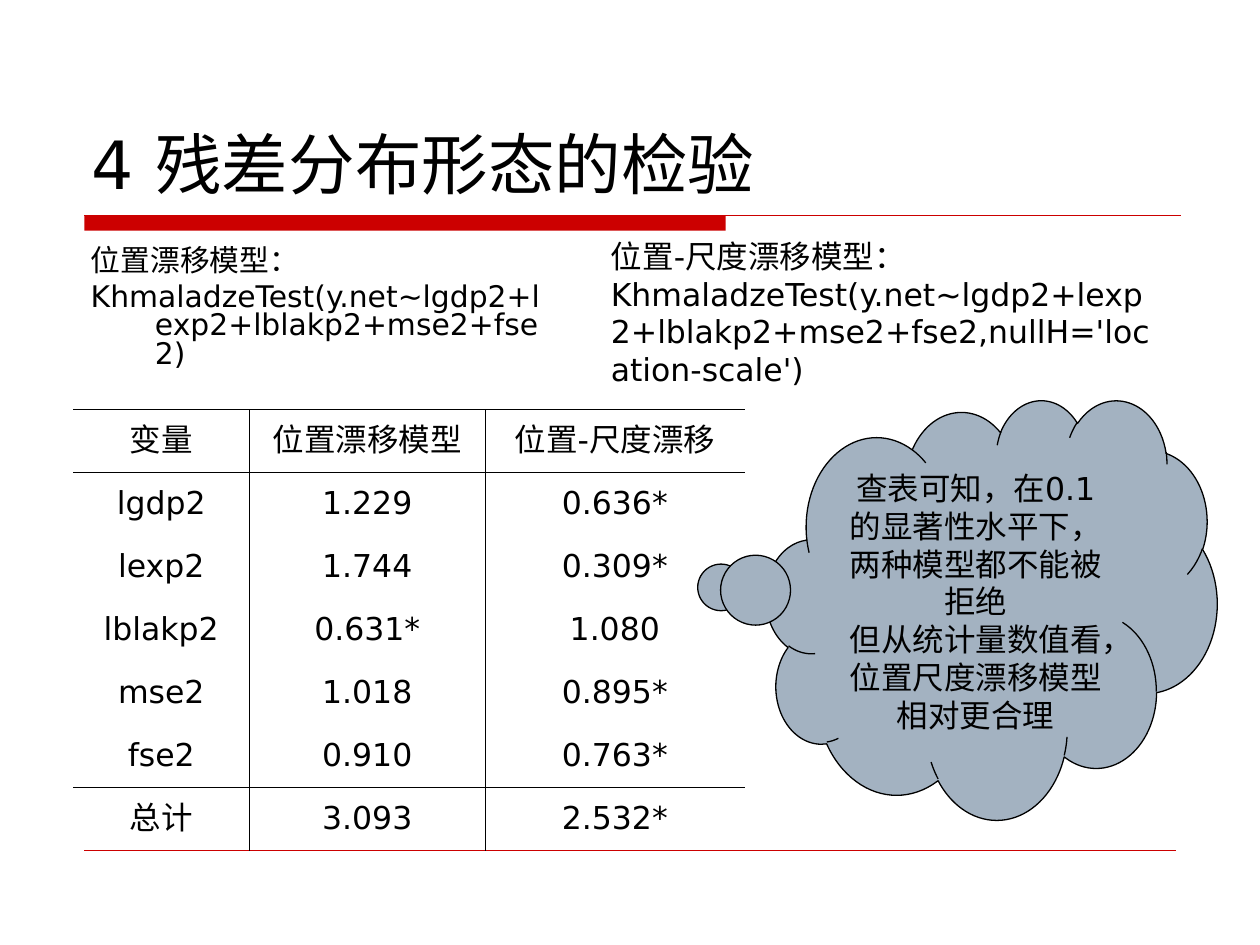
import pptx
import pptx.dml.color
import pptx.enum.shapes
import pptx.enum.text
import pptx.oxml.ns
import pptx.util
from lxml import etree

Inches = pptx.util.Inches
Pt = pptx.util.Pt
qn = pptx.oxml.ns.qn
RGBColor = pptx.dml.color.RGBColor
SHAPES = pptx.enum.shapes.MSO_SHAPE
ALIGN = pptx.enum.text.PP_ALIGN
ANCHOR = pptx.enum.text.MSO_ANCHOR

BLACK = RGBColor(0x00, 0x00, 0x00)
RED = RGBColor(0xCC, 0x00, 0x00)
CLOUD_BLUE = RGBColor(0xA3, 0xB2, 0xC1)
FONT = "DejaVu Sans"

TITLE = "4 残差分布形态的检验"
LOCATION_TEST = ["位置漂移模型：", "KhmaladzeTest(y.net~lgdp2+lexp2+lblakp2+mse2+fse2)"]
SCALE_TEST = [
    "位置-尺度漂移模型：KhmaladzeTest(y.net~lgdp2+lexp2+lblakp2+mse2+fse2,nullH='location-scale')"
]
CONCLUSION = [
    "查表可知，在0.1的显著性水平下，两种模型都不能被拒绝",
    "但从统计量数值看，位置尺度漂移模型相对更合理",
]
RESULTS = [
    ("变量", "位置漂移模型", "位置-尺度漂移"),
    ("lgdp2", "1.229", "0.636*"),
    ("lexp2", "1.744", "0.309*"),
    ("lblakp2", "0.631*", "1.080"),
    ("mse2", "1.018", "0.895*"),
    ("fse2", "0.910", "0.763*"),
    ("总计", "3.093", "2.532*"),
]
COLUMN_WIDTHS = (1.4, 1.87, 2.06)
ROW_HEIGHT = 0.5
RULED_EDGES = (0, 1, len(RESULTS) - 1)


def place(shape, left, top, width, height):
    shape.left, shape.top = Inches(left), Inches(top)
    shape.width, shape.height = Inches(width), Inches(height)


def write(frame, lines, size, align=ALIGN.LEFT):
    for index, line in enumerate(lines):
        para = frame.paragraphs[0] if index == 0 else frame.add_paragraph()
        para.alignment = align
        span = para.add_run()
        span.text = line
        span.font.size = Pt(size)
        span.font.name = FONT
        span.font.color.rgb = BLACK
        etree.SubElement(span.font._element, qn("a:ea")).set("typeface", FONT)


def setup_frame(shape, anchor):
    frame = shape.text_frame
    frame.word_wrap = True
    frame.auto_size = pptx.enum.text.MSO_AUTO_SIZE.NONE
    frame.vertical_anchor = anchor
    return frame


def add_rule(page, left, right, top, weight):
    rule = page.shapes.add_connector(
        pptx.enum.shapes.MSO_CONNECTOR.STRAIGHT,
        Inches(left), Inches(top), Inches(right), Inches(top))
    rule.line.color.rgb = RED
    rule.line.width = Pt(weight)
    etree.SubElement(rule._element.spPr, qn("a:effectLst"))


def set_borders(cell, visible):
    properties = cell._tc.get_or_add_tcPr()
    for index, side in enumerate(("L", "R", "T", "B")):
        line = etree.Element(qn("a:ln" + side), w=str(Pt(0.45)))
        if visible[side]:
            fill = etree.SubElement(line, qn("a:solidFill"))
            etree.SubElement(fill, qn("a:srgbClr")).set("val", str(BLACK))
        else:
            etree.SubElement(line, qn("a:noFill"))
        properties.insert(index, line)


def add_results(page):
    table = page.shapes.add_table(
        len(RESULTS), len(COLUMN_WIDTHS), Inches(0.58), Inches(3.25),
        Inches(sum(COLUMN_WIDTHS)), Inches(ROW_HEIGHT * len(RESULTS))).table
    table.first_row = table.horz_banding = False
    for column, width in zip(table.columns, COLUMN_WIDTHS):
        column.width = Inches(width)
    for row_index, values in enumerate(RESULTS):
        table.rows[row_index].height = Inches(ROW_HEIGHT)
        for column_index, value in enumerate(values):
            cell = table.cell(row_index, column_index)
            cell.vertical_anchor = ANCHOR.MIDDLE
            cell.fill.background()
            write(cell.text_frame, [value], 18, ALIGN.CENTER)
            set_borders(cell, {
                "L": column_index > 0,
                "R": column_index < len(values) - 1,
                "T": row_index in RULED_EDGES,
                "B": row_index + 1 in RULED_EDGES,
            })


def main():
    deck = pptx.Presentation()
    deck.slide_width, deck.slide_height = Inches(10), Inches(7.5)
    page = deck.slides.add_slide(deck.slide_layouts[1])

    bar = page.shapes.add_shape(
        SHAPES.RECTANGLE, Inches(0.67), Inches(1.71), Inches(5.09), Inches(0.12))
    bar.shadow.inherit = False
    bar.fill.solid()
    bar.fill.fore_color.rgb = RED
    bar.line.fill.background()
    add_rule(page, 0.67, 9.37, 1.71, 0.75)
    add_rule(page, 0.67, 9.33, 6.75, 0.25)

    title = page.shapes.title
    place(title, 0.63, 0.33, 8.75, 1.33)
    write(setup_frame(title, ANCHOR.BOTTOM), [TITLE], 38)

    body = page.placeholders[1]
    place(body, 0.62, 1.92, 3.88, 1.42)
    frame = setup_frame(body, ANCHOR.TOP)
    write(frame, LOCATION_TEST, 17)
    for index, para in enumerate(frame.paragraphs):
        properties = para._p.get_or_add_pPr()
        properties.set("marL", str(Inches(0.51)))
        properties.set("indent", str(Inches(-0.51)))
        etree.SubElement(properties, qn("a:buNone"))
        para.line_spacing = 0.8
        para.space_before = Pt(4.2 if index else 0)

    box = page.shapes.add_textbox(Inches(4.75), Inches(1.83), Inches(4.5), Inches(1.6))
    write(setup_frame(box, ANCHOR.TOP), SCALE_TEST, 18)

    add_results(page)

    cloud = page.shapes.add_shape(
        SHAPES.CLOUD_CALLOUT, Inches(6.08), Inches(3.17), Inches(3.58), Inches(3.33))
    cloud.adjustments[0] = -0.625
    cloud.adjustments[1] = -0.054
    cloud.shadow.inherit = False
    cloud.fill.solid()
    cloud.fill.fore_color.rgb = CLOUD_BLUE
    cloud.line.color.rgb = BLACK
    cloud.line.width = Pt(0.75)
    write(setup_frame(cloud, ANCHOR.TOP), CONCLUSION, 18, ALIGN.CENTER)

    deck.save("out.pptx")


if __name__ == "__main__":
    main()
